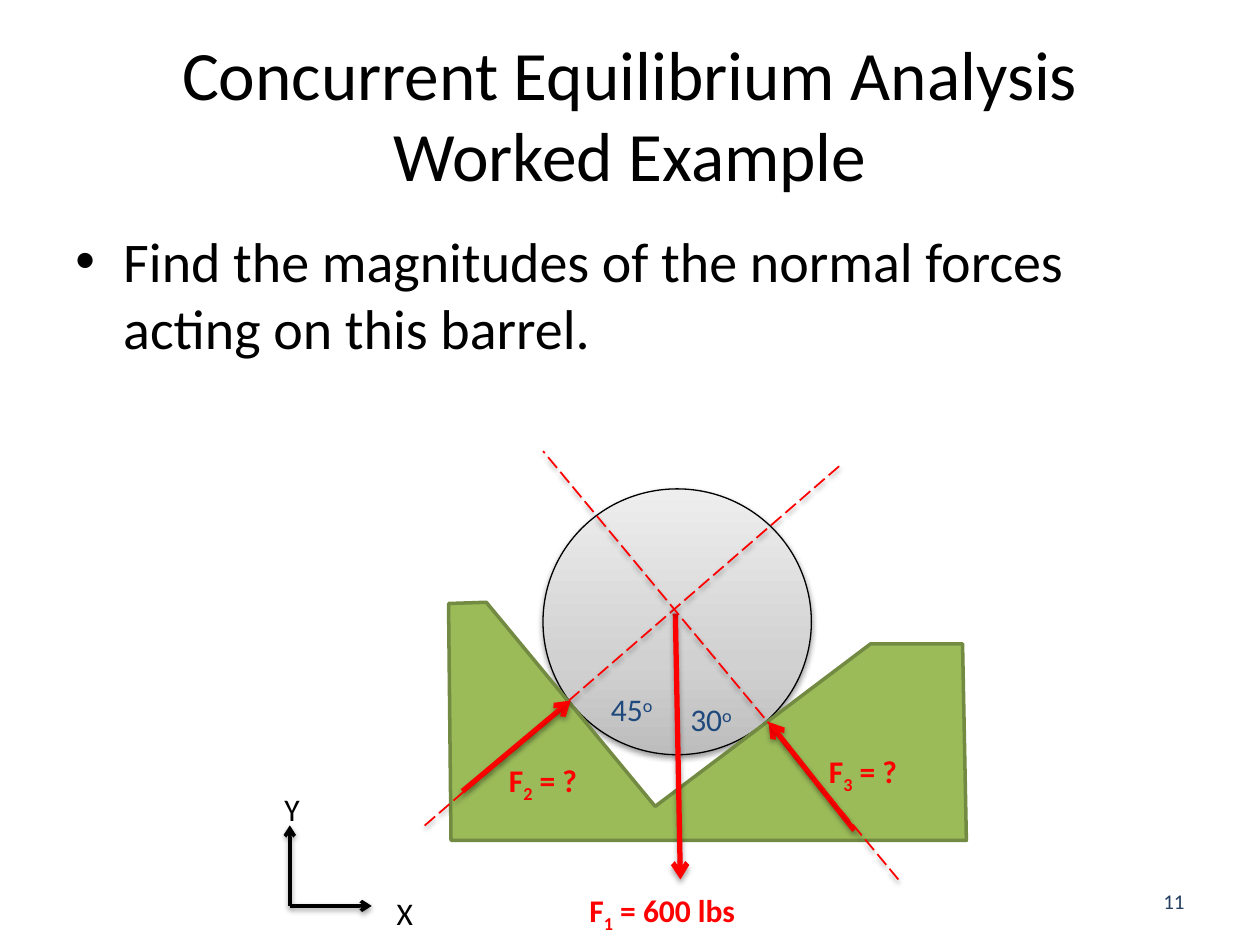
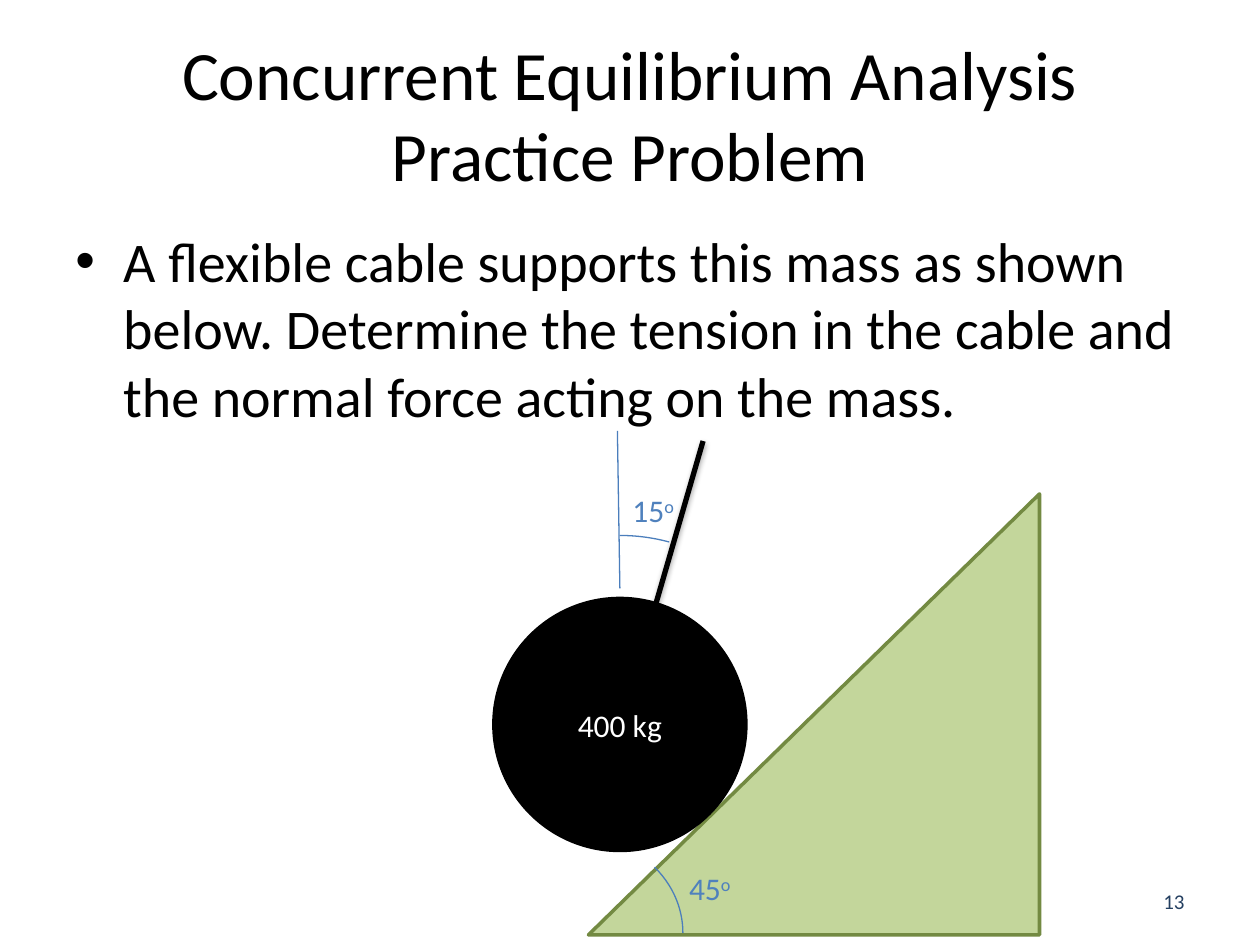
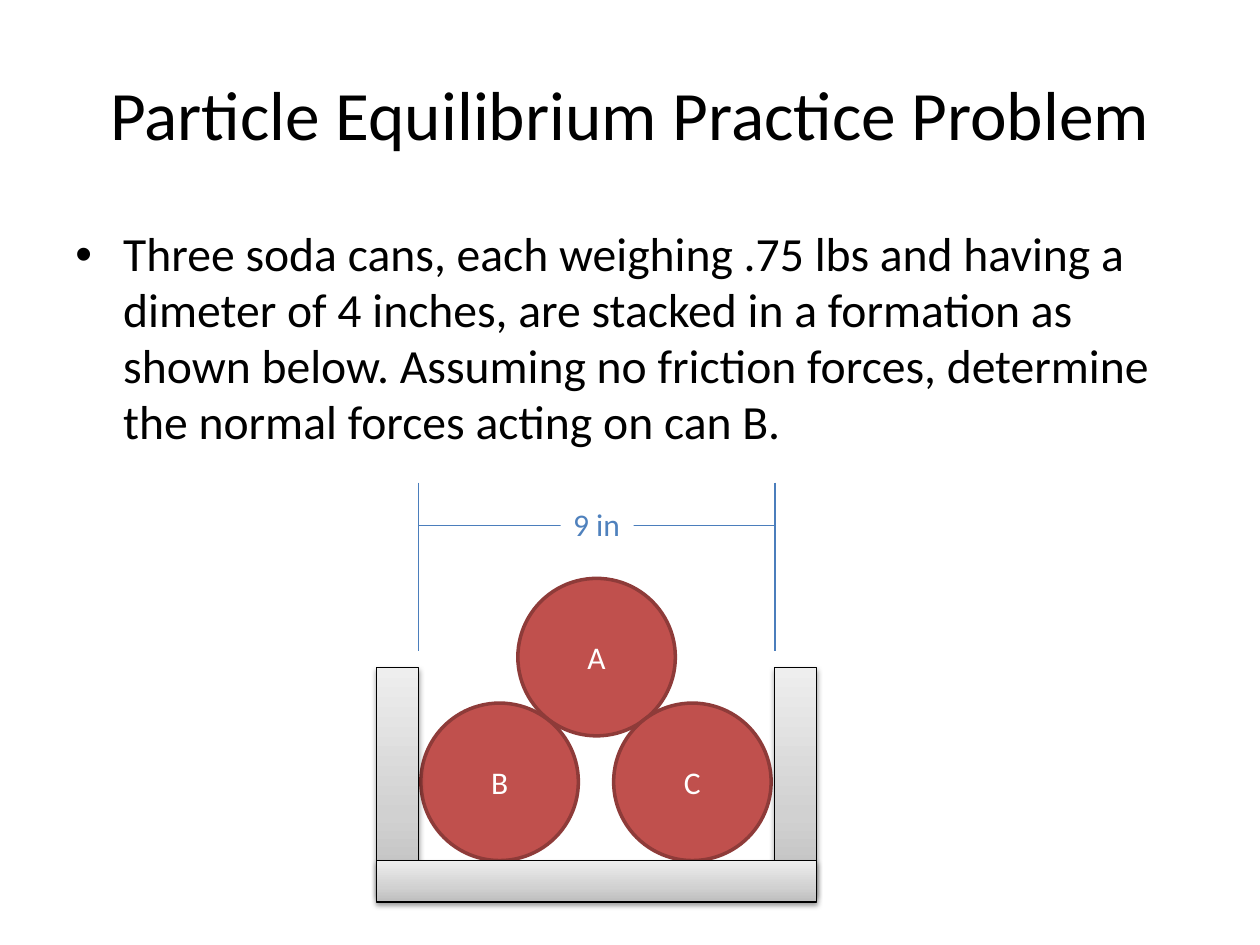
from pptx import Presentation
from pptx.dml.color import RGBColor
from pptx.enum.dml import MSO_LINE
from pptx.enum.shapes import MSO_CONNECTOR, MSO_SHAPE as SHAPE
from pptx.enum.text import MSO_ANCHOR as ANCHOR, MSO_AUTO_SIZE as AUTO, PP_ALIGN as ALIGN
from pptx.oxml import parse_xml
from pptx.oxml.ns import nsdecls, qn
from pptx.util import Inches, Pt

COLORS = {
    "black": "000000", "white": "FFFFFF", "red": "FF0000", "navy": "1F497D",
    "number": "254061", "blue": "4F81BD", "thin_blue": "4B7EBC",
    "green": "9BBB59", "pale_green": "C3D69B", "dark_green": "738A42",
    "can": "C0504D", "can_edge": "8E3B39",
}
STEEL = ((0, "BDBDBD"), (35, "D1D1D1"), (100, "EEEEEE"))
SOFT = (38, 20000)
STRONG = (35, 23000)


def rgb(name):
    return RGBColor.from_string(COLORS[name])


def node(tag, attrs="", inner=""):
    return parse_xml(f"<a:{tag} {nsdecls('a')} {attrs}>{inner}</a:{tag}>")


class Deck:
    """Holds the shared style and the slide being built."""

    def __init__(self):
        self.prs = Presentation()
        self.prs.slide_width, self.prs.slide_height = Inches(10), Inches(7.5)
        self.font = "Calibri"

    def slide(self, title, body, size=32, spacing=1.0, height=1.42, number=None):
        self.s = self.prs.slides.add_slide(self.prs.slide_layouts[5])
        sp = self.s.shapes.title
        box = {"left": 0.5, "top": 0.3, "width": 9, "height": 1.25}
        for name, value in box.items():
            setattr(sp, name, Inches(value))
        self.fill_text(sp.text_frame, [title], size=39.6, align=ALIGN.CENTER,
                       anchor=ANCHOR.MIDDLE, spacing=0.98)
        sp = self.text((0.5, 1.75, 9, height), [body], size=size, spacing=spacing)
        pPr = sp.text_frame.paragraphs[0]._p.get_or_add_pPr()
        for name, value in {"marL": Inches(0.38), "indent": -Inches(0.38)}.items():
            pPr.set(name, str(value))
        pPr.append(node("buFont", 'typeface="Arial"'))
        pPr.append(node("buChar", 'char="•"'))
        if number:
            self.text((7.17, 6.95, 2.33, 0.4), [number], size=12, color="number",
                      align=ALIGN.RIGHT, anchor=ANCHOR.MIDDLE)

    def fill_text(self, tf, runs, size=18, color="black", bold=False, align=ALIGN.LEFT,
                  anchor=ANCHOR.TOP, wrap=True, spacing=1.0):
        frame = {"auto_size": AUTO.NONE, "word_wrap": wrap, "vertical_anchor": anchor}
        for name, value in frame.items():
            setattr(tf, name, value)
        p = tf.paragraphs[0]
        p.alignment, p.line_spacing = align, spacing
        for run in runs:
            words, base = (run, 0) if isinstance(run, str) else run
            r = p.add_run()
            r.text = words
            for name, value in {"name": self.font, "size": Pt(size), "bold": bold}.items():
                setattr(r.font, name, value)
            r.font.color.rgb = rgb(color)
            if base:
                r._r.get_or_add_rPr().set("baseline", str(base * 1000))

    def text(self, box, runs, **fmt):
        sp = self.s.shapes.add_textbox(*map(Inches, box))
        self.fill_text(sp.text_frame, runs, **fmt)
        return sp

    def label(self, x, y, w, runs, color, **fmt):
        return self.text((x, y, w, 0.4), runs, color=color, **fmt)

    def angle(self, x, y, degrees, color):
        self.label(x, y, 0.55, [degrees, ("o", 30)], color, wrap=False)

    def force(self, x, y, w, index, value):
        self.label(x, y, w, ["F", (index, -25), f" = {value}"], "red", bold=True)

    def effect(self, sp, shadow):
        inner = ""
        if shadow:
            alpha, dist = shadow
            inner = (f'<a:outerShdw blurRad="40000" dist="{dist}" dir="5400000" rotWithShape="0">'
                     f'<a:srgbClr val="000000"><a:alpha val="{alpha * 1000}"/></a:srgbClr>'
                     "</a:outerShdw>")
        sp._element.spPr.append(node("effectLst", "", inner))

    def finish(self, sp, fill, line, weight, shadow=None):
        if fill == "steel":
            sp.fill.gradient()
            sp.fill.gradient_angle = 90
            stops = sp._element.spPr.find(qn("a:gradFill")).find(qn("a:gsLst"))
            for stop in list(stops):
                stops.remove(stop)
            for pos, color in STEEL:
                stops.append(node("gs", f'pos="{pos * 1000}"', f'<a:srgbClr val="{color}"/>'))
        elif fill:
            sp.fill.solid()
            sp.fill.fore_color.rgb = rgb(fill)
        else:
            sp.fill.background()
        sp.line.color.rgb = rgb(line)
        sp.line.width = Pt(weight)
        self.effect(sp, shadow)

    def shape(self, kind, box, fill, line, weight=2, shadow=None, adj=(), text=None):
        sp = self.s.shapes.add_shape(kind, *map(Inches, box))
        for i, value in enumerate(adj):
            sp.adjustments[i] = value
        self.finish(sp, fill, line, weight, shadow)
        if text:
            self.fill_text(sp.text_frame, [text], color="white", align=ALIGN.CENTER,
                           anchor=ANCHOR.MIDDLE)

    def steel(self, kind, box):
        self.shape(kind, box, "steel", "black", 0.75, SOFT)

    def arc(self, box, adj):
        self.shape(SHAPE.ARC, box, None, "thin_blue", 0.75, adj=adj)

    def outline(self, points, fill, line):
        start, *rest = [tuple(map(Inches, point)) for point in points]
        builder = self.s.shapes.build_freeform(*start)
        builder.add_line_segments(rest, close=True)
        self.finish(builder.convert_to_shape(), fill, line, 2)

    def line(self, start, end, color="thin_blue", weight=0.75, shadow=None,
             dash=None, arrow=False):
        sp = self.s.shapes.add_connector(MSO_CONNECTOR.STRAIGHT, *map(Inches, start + end))
        sp.line.color.rgb = rgb(color)
        sp.line.width = Pt(weight)
        if dash:
            sp.line.dash_style = dash
        if arrow:
            sp._element.spPr.find(qn("a:ln")).append(node("tailEnd", 'type="arrow"'))
        self.effect(sp, shadow)


def barrel(d):
    d.slide("Concurrent Equilibrium Analysis Worked Example",
            "Find the magnitudes of the normal forces acting on this barrel.", number="11")
    d.steel(SHAPE.OVAL, (4.31, 3.88, 2.13, 2.11))
    d.outline([(3.86, 4.78), (5.2, 6.4), (6.91, 5.11), (7.64, 5.11),
               (7.67, 6.67), (3.58, 6.67), (3.56, 4.79)], "green", "dark_green")
    for start, end in (((6.78, 6.59), (6.1, 5.73)), ((3.67, 6.28), (4.53, 5.56)),
                       ((5.36, 4.87), (5.4, 6.98))):
        d.line(start, end, "red", 3, STRONG, arrow=True)
    for start, end in (((6.66, 3.7), (3.35, 6.57)), ((7.13, 6.98), (4.31, 3.58))):
        d.line(start, end, "red", 1, SOFT, dash=MSO_LINE.LONG_DASH)
    d.angle(4.75, 5.43, "45", "navy")
    d.angle(5.38, 5.51, "30", "navy")
    d.force(4.58, 7.02, 1.64, "1", "600 lbs")
    d.force(3.94, 5.99, 1.18, "2", "?")
    d.force(6.48, 5.92, 1.18, "3", "?")
    origin = (2.3, 7.19)
    for end in ((2.3, 6.55), (2.95, 7.19)):
        d.line(origin, end, "black", 2, SOFT, arrow=True)
    d.label(3.05, 7.05, 0.33, ["X"], "black", wrap=False)
    d.label(2.16, 6.22, 0.33, ["Y"], "black", wrap=False)


def cable(d):
    d.slide("Concurrent Equilibrium Analysis Practice Problem",
            "A flexible cable supports this mass as shown below. Determine the tension "
            "in the cable and the normal force acting on the mass.",
            height=1.67, number="13")
    d.shape(SHAPE.ISOSCELES_TRIANGLE, (4.67, 3.92, 3.58, 3.5), "pale_green",
            "dark_green", adj=(1,))
    d.shape(SHAPE.OVAL, (3.92, 4.75, 2, 2), "black", "black", text="400 kg")
    d.line((5, 5.5), (5.58, 3.5), "black", 3, STRONG)
    d.arc((3.75, 6.64, 1.67, 1.53), (191.72, 0))
    d.angle(5.37, 6.85, "45", "blue")
    d.line((4.92, 4.67), (4.9, 3.42))
    d.arc((3.42, 4.25, 3, 3), (161.95, 171.08))
    d.angle(4.92, 3.85, "15", "blue")


def cans(d):
    d.slide("Particle Equilibrium Practice Problem",
            "Three soda cans, each weighing .75 lbs and having a dimeter of 4 inches, are "
            "stacked in a formation as shown below. Assuming no friction forces, determine "
            "the normal forces acting on can B.", size=27.2, spacing=0.98, height=2.08)
    for name, x, y in (("A", 4.11, 4.59), ("B", 3.34, 5.58), ("C", 4.87, 5.58)):
        d.shape(SHAPE.OVAL, (x, y, 1.25, 1.25), "can", "can_edge", text=name)
    left, right, wall = 3.32, 6.15, 0.33
    for x in (left - wall, right):
        d.steel(SHAPE.RECTANGLE, (x, 5.3, wall, 1.8))
    d.steel(SHAPE.RECTANGLE, (left - wall, 6.83, right - left + 2 * wall, wall))
    for x in (left, right):
        d.line((x, 3.83), (x, 5.17))
    d.line((left, 4.17), (right, 4.17))
    sp = d.label(4.45, 3.96, 0.58, ["9 in"], "blue", wrap=False)
    sp.fill.solid()
    sp.fill.fore_color.rgb = rgb("white")


def main():
    d = Deck()
    for build in (barrel, cable, cans):
        build(d)
    d.prs.save("out.pptx")


if __name__ == "__main__":
    main()
